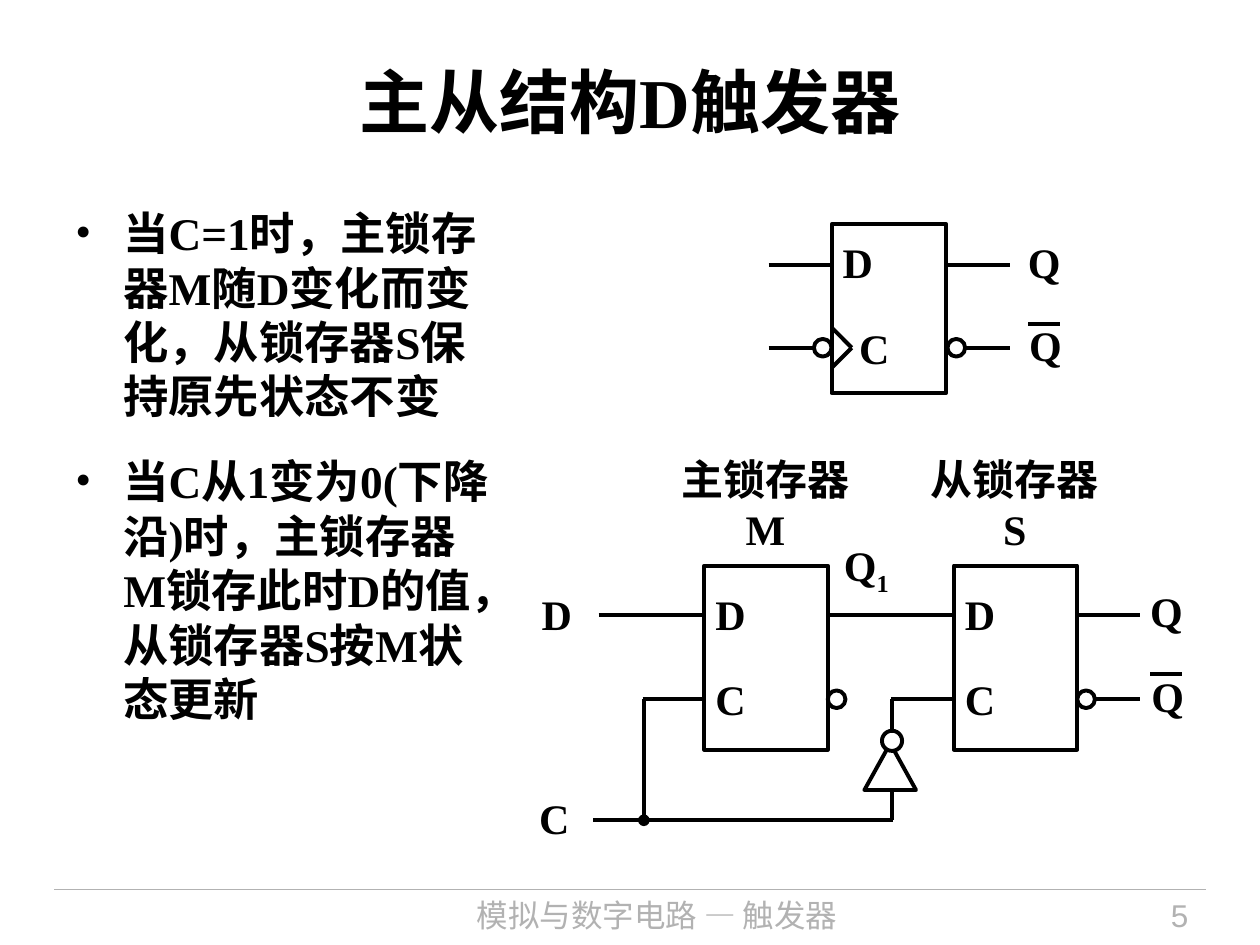
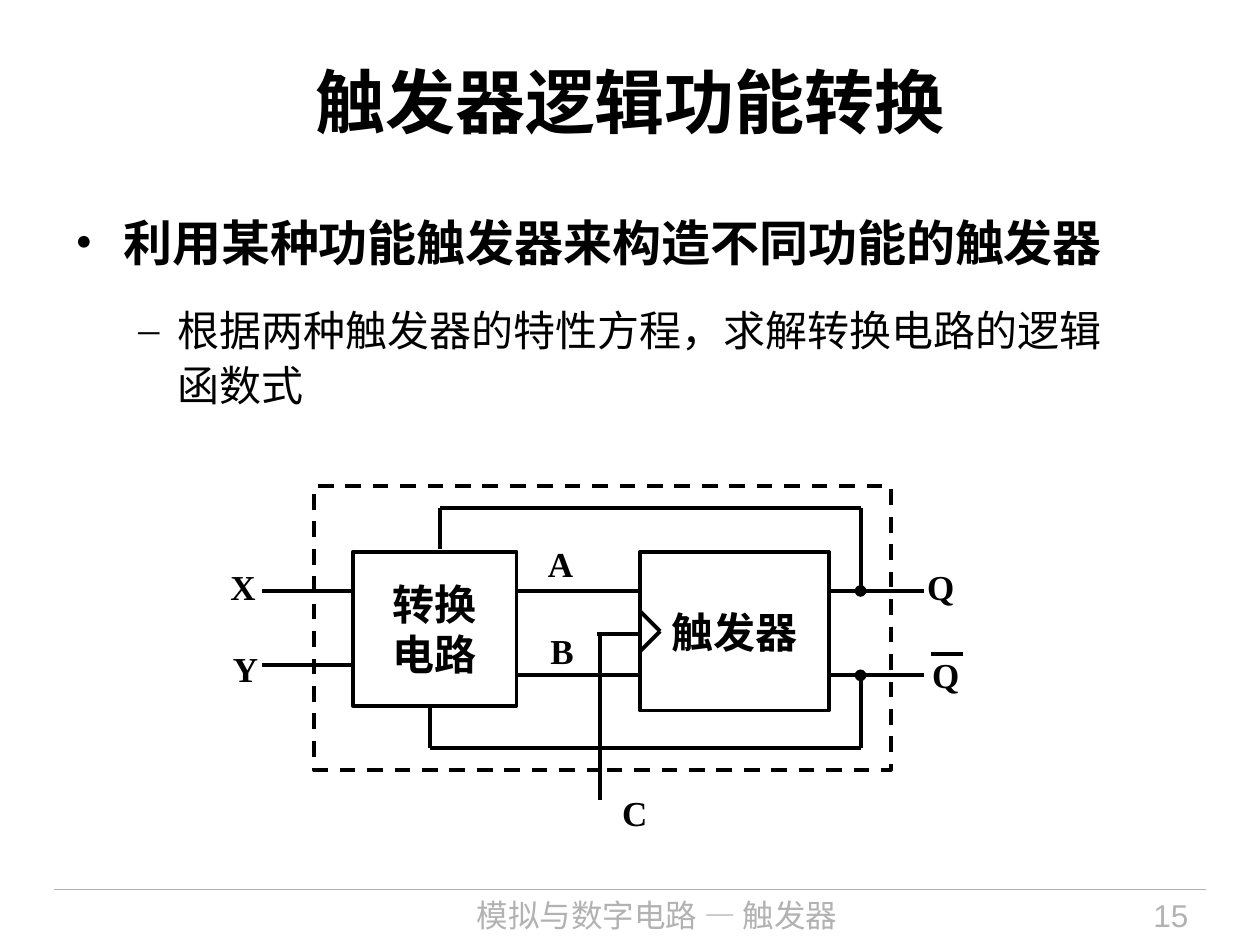
from dataclasses import dataclass

from lxml import etree
from pptx import Presentation
from pptx.dml.color import RGBColor
from pptx.enum.dml import MSO_LINE
from pptx.enum.shapes import MSO_CONNECTOR, MSO_SHAPE
from pptx.enum.text import MSO_ANCHOR, MSO_AUTO_SIZE, PP_ALIGN
from pptx.oxml.ns import qn
from pptx.util import Inches, Pt

LEFT, MID, RIGHT = PP_ALIGN.LEFT, PP_ALIGN.CENTER, PP_ALIGN.RIGHT
TOP, MIDDLE = MSO_ANCHOR.TOP, MSO_ANCHOR.MIDDLE
RECT, OVAL, MERGE = MSO_SHAPE.RECTANGLE, MSO_SHAPE.OVAL, MSO_SHAPE.FLOWCHART_MERGE
GROW, DASH, STRAIGHT = MSO_AUTO_SIZE.SHAPE_TO_FIT_TEXT, MSO_LINE.DASH, MSO_CONNECTOR.STRAIGHT

COLORS = {"ink": "000000", "paper": "FFFFFF", "foot": "B2B2B2"}
SERIF, SANS, HAN = "Times New Roman", "Arial", "Noto Sans CJK SC"
WIRE = 2.25
LEAD = 1.2
RING = 0.14


@dataclass
class Wire:
    x1: float
    y1: float
    x2: float
    y2: float
    head: bool = False
    tail: bool = False


@dataclass
class Label:
    text: str
    x: float
    y: float
    w: float = 0.44
    sub: str = ""
    align: int = LEFT


@dataclass
class Point:
    text: str
    size: float
    bold: bool
    mark: str
    left: float
    hang: float
    lead: float
    before: float
    after: float


def color(name: str) -> RGBColor:
    return RGBColor.from_string(COLORS[name])


def add_run(para, text: str, size: float, font: str, bold: bool, ink: str):
    """Add a run whose Chinese letters are always sans."""
    run = para.add_run()
    run.text = text
    run.font.size, run.font.bold, run.font.name = Pt(size), bold, font
    run.font.color.rgb = color(ink)
    east = etree.SubElement(run.font._element, qn("a:ea"))
    east.set("typeface", SANS if font == SERIF else font)
    return run


def put(frame, text: str, *, size: float = 24, font: str = SERIF, bold: bool = True,
        ink: str = "ink", align: int = LEFT, lead: float = 1, sub: str = "",
        more: bool = False) -> list:
    """Write one paragraph for each line of text; more=True keeps what is there."""
    paras = []
    for line in text.split("\n"):
        para = frame.add_paragraph() if more or paras else frame.paragraphs[0]
        para.alignment = align
        para.line_spacing = Pt(round(size * LEAD * lead, 1))
        add_run(para, line, size, font, bold, ink)
        if sub:
            low = add_run(para, sub, size, font, bold, ink)
            low.font._element.set("baseline", "-25000")
        paras.append(para)
    return paras


def add_box(slide, x: float, y: float, w: float, h: float, anchor: int = TOP,
            wrap: bool = True):
    box = slide.shapes.add_textbox(Inches(x), Inches(y), Inches(w), Inches(h))
    frame = box.text_frame
    frame.word_wrap = wrap
    frame.vertical_anchor = anchor
    if not wrap:
        frame.auto_size = GROW
    return frame


def add_wire(slide, wire: Wire, width: float = WIRE, ink: str = "ink") -> None:
    ends = (Inches(v) for v in (wire.x1, wire.y1, wire.x2, wire.y2))
    line = slide.shapes.add_connector(STRAIGHT, *ends)
    line.line.width = Pt(width)
    line.line.color.rgb = color(ink)
    props = line._element.spPr
    for tag, dot in (("a:headEnd", wire.head), ("a:tailEnd", wire.tail)):
        if dot:
            etree.SubElement(props.find(qn("a:ln")), qn(tag)).set("type", "oval")
    etree.SubElement(props, qn("a:effectLst"))


def add_part(slide, kind: int, x: float, y: float, w: float, h: float,
             fill: bool = False, turn: int = 0, dash: bool = False):
    part = slide.shapes.add_shape(kind, Inches(x), Inches(y), Inches(w), Inches(h))
    part.shadow.inherit = False
    part.rotation = turn
    if fill:
        part.fill.solid()
        part.fill.fore_color.rgb = color("paper")
    else:
        part.fill.background()
    part.line.color.rgb = color("ink")
    part.line.width = Pt(WIRE)
    if dash:
        part.line.dash_style = DASH
    return part


def add_ring(slide, x: float, y: float, size: float = RING) -> None:
    """Draw the small circle of an inverted pin."""
    add_part(slide, OVAL, x, y, size, size, fill=True)


def add_block(slide, text: str, x: float, y: float, w: float, h: float,
              fill: bool = False) -> None:
    frame = add_part(slide, RECT, x, y, w, h, fill).text_frame
    frame.word_wrap = False
    frame.vertical_anchor = MIDDLE
    put(frame, text, font=SANS, align=MID)


def add_labels(slide, labels: list[Label], size: float = 24) -> None:
    for tag in labels:
        lines = tag.text.count("\n") + 1
        high = round(0.1 + lines * size * LEAD / 72, 2)
        frame = add_box(slide, tag.x, tag.y, tag.w, high, wrap=False)
        put(frame, tag.text, size=size, align=tag.align, sub=tag.sub)


def add_wires(slide, wires: list[Wire]) -> None:
    for wire in wires:
        add_wire(slide, wire)


def add_points(slide, points: list[Point], x: float, y: float, w: float, h: float) -> None:
    frame = add_box(slide, x, y, w, h)
    for i, point in enumerate(points):
        para, = put(frame, point.text, size=point.size, bold=point.bold,
                    lead=point.lead, more=i > 0)
        para.space_before, para.space_after = Pt(point.before), Pt(point.after)
        props = para._p.get_or_add_pPr()
        props.set("marL", str(Inches(point.left)))
        props.set("indent", str(-Inches(point.hang)))
        tint = etree.SubElement(props, qn("a:buClr"))
        etree.SubElement(tint, qn("a:srgbClr")).set("val", COLORS["ink"])
        etree.SubElement(props, qn("a:buFont")).set("typeface", SERIF)
        etree.SubElement(props, qn("a:buChar")).set("char", point.mark)


def add_page(deck, title: str, number: int):
    slide = deck.slides.add_slide(deck.slide_layouts[6])
    add_wire(slide, Wire(0.43, 7.06, 9.57, 7.06), 0.75, "foot")
    foot = {"size": 18, "bold": False, "ink": "foot"}
    put(add_box(slide, 2.4, 7.06, 5.63, 0.44), "模拟与数字电路 — 触发器",
        font=HAN, align=MID, **foot)
    put(add_box(slide, 8.2, 7.06, 1.33, 0.44), str(number),
        font=SANS, align=RIGHT, **foot)
    put(add_box(slide, 0.5, 0.17, 9, 1.25, MIDDLE), title, size=40, align=MID)
    return slide


def add_outs(slide, x: float, y: float, gap: float) -> None:
    """Label an output Q and, below it, the inverted output with its bar."""
    add_labels(slide, [Label("Q", x, y, 0.46), Label("Q", x + 0.01, y + gap, 0.46)])
    add_wire(slide, Wire(x + 0.1, y + gap + 0.08, x + 0.35, y + gap + 0.08))


def add_notch(slide, x: float, y: float) -> None:
    """Draw the wedge of an edge-triggered clock pin, its tip at height y."""
    for side in (-0.16, 0.16):
        add_wire(slide, Wire(x, y + side, x + 0.16, y))


def add_symbol(slide) -> None:
    left, right, data, clock = 6.6, 7.52, 2.1, 2.76
    add_part(slide, RECT, left, 1.78, 0.91, 1.34)
    for y in (data, clock):
        add_wires(slide, [Wire(left - 0.5, y, left, y), Wire(right, y, right + 0.5, y)])
    add_labels(slide, [Label("D", 6.59, 1.83), Label("C", 6.72, 2.51)])
    add_outs(slide, 8.06, 1.83, 0.66)
    add_notch(slide, left, clock)
    for x in (left - RING, right):
        add_ring(slide, x, clock - RING / 2)


def add_latch(slide, x: float, name: str) -> None:
    add_part(slide, RECT, x, 4.49, 0.98, 1.46)
    add_labels(slide, [Label("D", x - 0.01, 4.62), Label("C", x - 0.01, 5.3),
                       Label(name, x - 0.28, 3.55, 1.53, align=MID)])
    add_ring(slide, x + 0.98, 5.55 - RING / 2)


def draw_master(deck) -> None:
    slide = add_page(deck, "主从结构D触发器", 5)
    style = (25.9, True, "•", 0.38, 0.38, 1)
    add_points(slide, [
        Point("当C=1时，主锁存器M随D变化而变化，从锁存器S保持原先状态不变", *style, 0, 7),
        Point("当C从1变为0(下降沿)时，主锁存器M锁存此时D的值，从锁存器S按M状态更新",
              *style, 10.5, 7),
    ], 0.5, 1.58, 3.48, 5.39)
    add_symbol(slide)

    data, clock, bus = 4.88, 5.55, 6.51
    add_wires(slide, [
        Wire(4.75, data, 5.6, data), Wire(5.1, clock, 5.6, clock),
        Wire(6.57, data, 7.57, data), Wire(7.07, clock, 7.57, clock),
        Wire(8.55, data, 9.05, data), Wire(8.55, clock, 9.05, clock),
        Wire(4.71, bus, 7.09, bus), Wire(7.08, clock, 7.08, bus),
        Wire(5.11, clock, 5.11, bus, tail=True),
    ])
    add_latch(slide, 5.59, "主锁存器\nM")
    add_latch(slide, 7.57, "从锁存器\nS")
    add_part(slide, MERGE, 6.86, 5.9, 0.41, 0.37, fill=True, turn=180)
    add_ring(slide, 7, 5.8, 0.16)
    add_labels(slide, [Label("D", 4.2, 4.62), Label("C", 4.18, 6.24),
                       Label("Q", 6.6, 4.29, 0.6, sub="1")])
    add_outs(slide, 9.03, 4.6, 0.67)


def draw_change(deck) -> None:
    slide = add_page(deck, "触发器逻辑功能转换", 15)
    add_points(slide, [
        Point("利用某种功能触发器来构造不同功能的触发器",
              28, True, "•", 0.38, 0.38, 1.1, 10.5, 7),
        Point("根据两种触发器的特性方程，求解转换电路的逻辑函数式",
              24, False, "–", 0.81, 0.31, 1.1, 9, 6),
    ], 0.5, 1.59, 8.63, 1.78)

    high, low, node = 4.69, 5.36, 6.83
    add_block(slide, "触发器", 5.08, 4.38, 1.5, 1.26)
    for y in (high, low):
        add_wires(slide, [Wire(4.08, y, 5.08, y), Wire(6.58, y, 7.33, y)])
    for y in (high, 5.28):
        add_wire(slide, Wire(2.08, y, 2.83, y))
    for y, turn, x, end in ((high, 4.03, 3.49, 4.36), (low, 5.94, 3.41, 5.61)):
        add_wires(slide, [Wire(node, y, node, turn, head=True),
                          Wire(node, turn, x, turn), Wire(x, turn, x, end)])
    add_notch(slide, 5.08, 5.01)
    add_wires(slide, [Wire(5.08, 5.03, 4.74, 5.03), Wire(4.76, 5.03, 4.76, 6.35),
                      Wire(7.39, 5.19, 7.64, 5.19)])
    add_part(slide, RECT, 2.49, 3.86, 4.58, 2.25, dash=True)
    add_block(slide, "转换\n电路", 2.8, 4.38, 1.3, 1.22, fill=True)
    add_labels(slide, [
        Label("X", 1.73, 4.44, 0.4), Label("Y", 1.75, 5.09, 0.4),
        Label("A", 4.25, 4.26, 0.4), Label("B", 4.27, 4.95, 0.38),
        Label("Q", 7.26, 4.44, 0.41), Label("Q", 7.3, 5.14, 0.41),
        Label("C", 4.84, 6.23, 0.4),
    ], 20)


def main() -> None:
    deck = Presentation()
    deck.slide_width, deck.slide_height = Inches(10), Inches(7.5)
    draw_master(deck)
    draw_change(deck)
    deck.save("out.pptx")


if __name__ == "__main__":
    main()
